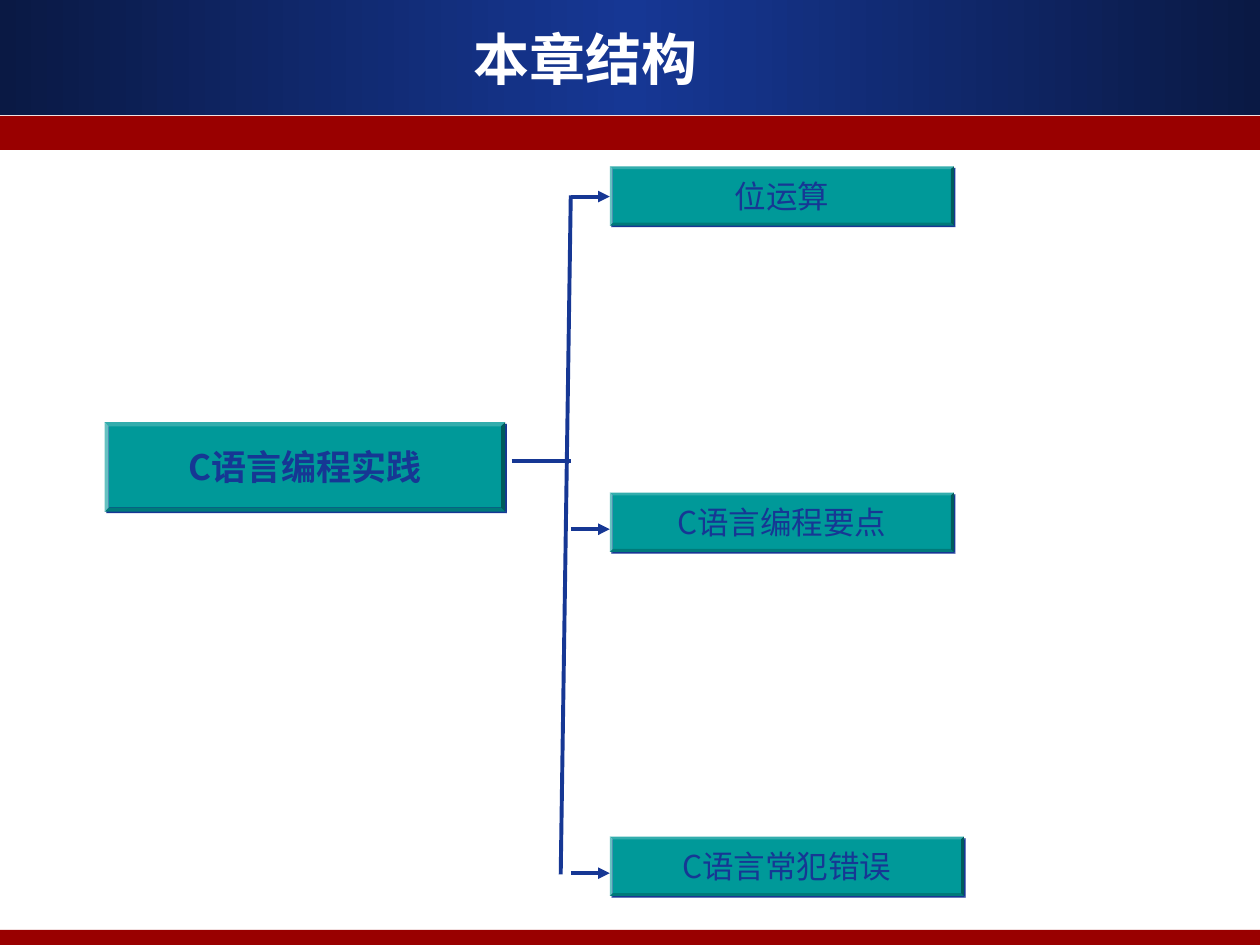
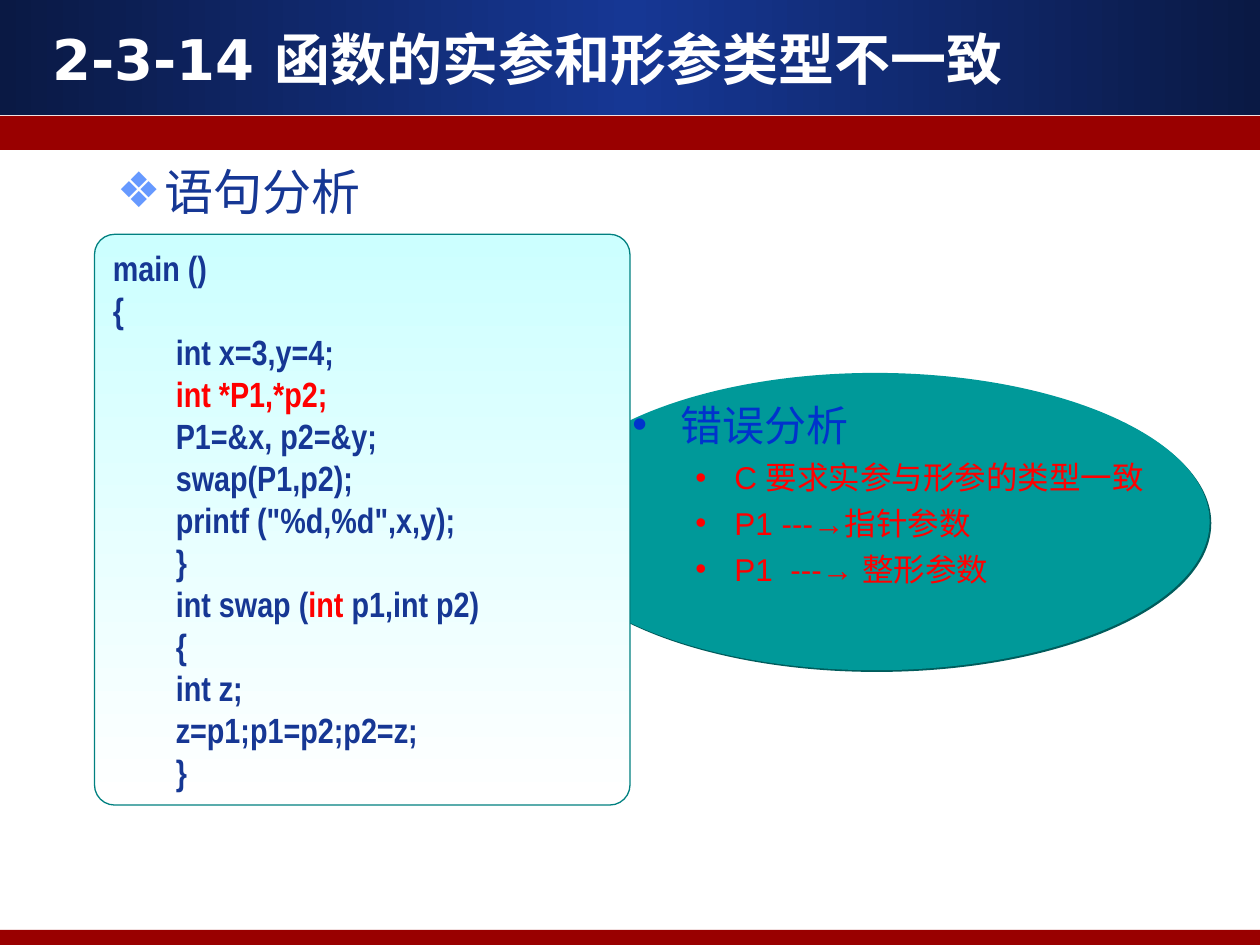
from dataclasses import dataclass

from lxml import etree
from pptx import Presentation
from pptx import util as u
from pptx.dml.color import RGBColor
from pptx.enum import shapes, text
from pptx.oxml import ns

I = u.Inches
SHAPE = shapes.MSO_SHAPE
ALIGN = text.PP_ALIGN
ANCHOR = text.MSO_ANCHOR


@dataclass(frozen=True)
class Theme:
    """Colours, fonts and type sizes of the deck."""
    navy: str = "163794"
    night: str = "0A1944"
    band: str = "990000"
    teal: str = "009999"
    deep_teal: str = "005C5C"
    edge: str = "008080"
    mint: str = "CCFFFF"
    white: str = "FFFFFF"
    blue: str = "0033CC"
    sky: str = "6699FF"
    red: str = "FF0000"
    title_font: str = "DejaVu Sans"
    body_font: str = "Arial"
    code_font: str = "Arial Narrow"
    cjk_font: str = "Noto Sans CJK SC"
    title_size: float = 32
    heading_size: float = 28
    subheading_size: float = 24
    large_size: float = 20
    small_size: float = 18


T = Theme()


def sub(parent, tag, **attrs):
    """Append a DrawingML element and return it."""
    return etree.SubElement(parent, ns.qn("a:" + tag), {k: str(v) for k, v in attrs.items()})


def add_text(tf, content, size=T.small_size, font=T.body_font, color=T.navy, bold=False,
             align=ALIGN.LEFT, before=0, margin=0, indent=0, bullet=None, bullet_color=None):
    """Add a paragraph; content is a string or a list of (text, colour) runs."""
    p = tf.paragraphs[0]
    if p.runs:
        p = tf.add_paragraph()
    p.alignment = align
    p.space_before = u.Pt(before)
    ppr = p._p.get_or_add_pPr()
    ppr.set("marL", str(I(margin)))
    ppr.set("indent", str(I(indent)))
    if bullet:
        sub(sub(ppr, "buClr"), "srgbClr", val=bullet_color or color)
        sub(ppr, "buFont", typeface=T.body_font)
        sub(ppr, "buChar", char=bullet)
    for words, run_color in [(content, color)] if isinstance(content, str) else content:
        r = p.add_run()
        r.text = words
        r.font.size, r.font.bold, r.font.name = u.Pt(size), bold, font
        r.font.color.rgb = RGBColor.from_string(run_color)
        sub(r._r.get_or_add_rPr(), "ea", typeface=T.cjk_font)


def setup_frame(sp, anchor=ANCHOR.TOP, wrap=True):
    """Set the margins, anchor and wrapping of a shape's text."""
    tf = sp.text_frame
    tf.word_wrap, tf.vertical_anchor = wrap, anchor
    tf.margin_left = tf.margin_right = I(0.1)
    tf.margin_top = tf.margin_bottom = I(0.05)
    return tf


def add_text_box(slide, box, anchor=ANCHOR.TOP):
    """Add a wrapping text box and return its text frame."""
    return setup_frame(slide.shapes.add_textbox(*map(I, box)), anchor)


def add_shape(slide, kind, box, fill=None, line=None):
    """Add a preset shape with an optional flat fill and thin outline."""
    sp = slide.shapes.add_shape(kind, *map(I, box))
    sp.shadow.inherit = False
    if fill:
        sp.fill.solid()
        sp.fill.fore_color.rgb = RGBColor.from_string(fill)
    if line:
        sp.line.color.rgb = RGBColor.from_string(line)
        sp.line.width = u.Pt(0.75)
    else:
        sp.line.fill.background()
    return sp


def set_gradient(sp, colors, angle):
    """Fill a shape with evenly spaced gradient stops."""
    sp.fill.gradient()
    grad = sp._element.spPr.find(ns.qn("a:gradFill"))
    for child in list(grad):
        grad.remove(child)
    stops = sub(grad, "gsLst")
    for i, color in enumerate(colors):
        stop = sub(stops, "gs", pos=100000 * i // (len(colors) - 1))
        sub(stop, "srgbClr", val=color)
    sub(grad, "lin", ang=angle * 60000, scaled=0)


def set_shadow(sp, color):
    """Give a shape a hard shadow to the lower right."""
    effects = sp._element.spPr.find(ns.qn("a:effectLst"))
    shadow = sub(effects, "outerShdw", blurRad=0, dist=u.Pt(1.4), dir=45 * 60000,
                 algn="ctr", rotWithShape=0)
    sub(shadow, "srgbClr", val=color)


def add_line(slide, x1, y1, x2, y2, arrow=False):
    """Draw a navy connector, with an arrowhead at its end if asked."""
    sp = slide.shapes.add_connector(shapes.MSO_CONNECTOR.STRAIGHT, *map(I, (x1, y1, x2, y2)))
    sp.line.color.rgb = RGBColor.from_string(T.navy)
    sp.line.width = u.Pt(2.25)
    if arrow:
        sub(sp.line._get_or_add_ln(), "tailEnd", type="triangle")
    sub(sp._element.spPr, "effectLst")


def add_bevel(slide, box, label, **fmt):
    """Add a teal bevelled box with a centred label."""
    sp = add_shape(slide, SHAPE.BEVEL, box, T.teal)
    sp.adjustments[0] = 0.047
    set_shadow(sp, T.navy)
    tf = setup_frame(sp, ANCHOR.MIDDLE, wrap=False)
    add_text(tf, label, font=T.cjk_font, align=ALIGN.CENTER, **fmt)


def new_slide(prs):
    """Add a blank slide with the header and footer bands."""
    slide = prs.slides.add_slide(prs.slide_layouts[6])
    header = add_shape(slide, SHAPE.RECTANGLE, (0, 0, 10, 0.91))
    set_gradient(header, (T.night, T.navy, T.night), 0)
    for top, height in ((0.92, 0.27), (7.38, 0.12)):
        add_shape(slide, SHAPE.RECTANGLE, (0, top, 10, height), T.band)
    return slide


def add_title(slide, box, title):
    """Write the slide title in the header band."""
    tf = add_text_box(slide, box, ANCHOR.MIDDLE)
    add_text(tf, title, T.title_size, T.title_font, T.white, bold=True, align=ALIGN.CENTER)


def add_chapter_tree(slide, box, root, branches):
    """Draw the root, its trunk and the branches as (label, top, width, arrow drop)."""
    x, y, w, h = box
    trunk, column = x + 3.7, x + 4.01
    add_bevel(slide, (x, y + 2.03, 3.18, 0.71), root, size=T.large_size, bold=True, before=12.5)
    add_line(slide, trunk, y + 0.23, trunk - 0.08, y + h - 0.17)
    add_line(slide, x + 3.23, y + 2.34, trunk, y + 2.34)
    for label, top, width, drop in branches:
        arrow_y = y + top + drop
        add_line(slide, trunk, arrow_y, column, arrow_y, arrow=True)
        add_bevel(slide, (column, y + top, width, 0.47), label,
                  before=11.2, margin=0.5, indent=-0.5)


def add_error_analysis(slide, box, heading, points):
    """Draw the ellipse with the heading and points of the error analysis."""
    x, y, w, h = box
    set_shadow(add_shape(slide, SHAPE.OVAL, box, T.teal), T.deep_teal)
    tf = add_text_box(slide, (x + 0.63, y + 0.16, w - 0.62, h - 0.36))
    add_text(tf, heading, T.subheading_size, color=T.blue, before=6,
             margin=0.38, indent=-0.38, bullet="•")
    for point, before in zip(points, (5, 4.5, 4.5)):
        add_text(tf, point, color=T.red, before=before, margin=0.81, indent=-0.31, bullet="•")


def add_code_panel(slide, box, lines):
    """Draw the rounded panel; all code after the opening brace is indented."""
    sp = add_shape(slide, SHAPE.ROUNDED_RECTANGLE, box, line=T.edge)
    sp.adjustments[0] = 0.16 / box[2]
    set_gradient(sp, (T.mint, T.white), 90)
    tf = setup_frame(sp)
    for i, line in enumerate(lines):
        add_text(tf, line, T.large_size, T.code_font, bold=True, margin=0.5 if i > 1 else 0)


def build_structure_slide(prs):
    """Build the chapter structure slide."""
    slide = new_slide(prs)
    add_title(slide, (0.9, 0, 7.5, 0.92), "本章结构")
    branches = (("位运算", 0, 2.73, 0.24),
                ("C语言编程要点", 2.59, 2.73, 0.29),
                ("C语言常犯错误", 5.32, 2.81, 0.29))
    add_chapter_tree(slide, (0.83, 1.32, 6.82, 5.79), "C语言编程实践", branches)


def build_mismatch_slide(prs):
    """Build the slide on mismatched argument types."""
    slide = new_slide(prs)
    add_title(slide, (0.17, 0, 8.14, 0.92), "2-3-14 函数的实参和形参类型不一致 ")
    add_text(add_text_box(slide, (0.83, 1.23, 4.49, 0.6)), "语句分析", T.heading_size,
             before=7, margin=0.38, indent=-0.38, bullet="❖", bullet_color=T.sky)
    add_error_analysis(slide, (4.29, 2.96, 5.31, 2.36), "错误分析",
                       ("C 要求实参与形参的类型一致", "P1 ---→指针参数", "P1  ---→ 整形参数"))
    code = ("main ()", "{", "int x=3,y=4;", [("int *P1,*p2;", T.red)],
            "P1=&x, p2=&y;", "swap(P1,p2);", 'printf ("%d,%d",x,y);', "}",
            [("int swap (", T.navy), ("int", T.red), (" p1,int p2)", T.navy)],
            "{", "int z;", "z=p1;p1=p2;p2=z;", "}")
    add_code_panel(slide, (0.75, 1.86, 4.25, 4.53), code)


def main():
    """Build and save the deck."""
    prs = Presentation()
    prs.slide_width, prs.slide_height = I(10), I(7.5)
    build_structure_slide(prs)
    build_mismatch_slide(prs)
    prs.save("out.pptx")


if __name__ == "__main__":
    main()
